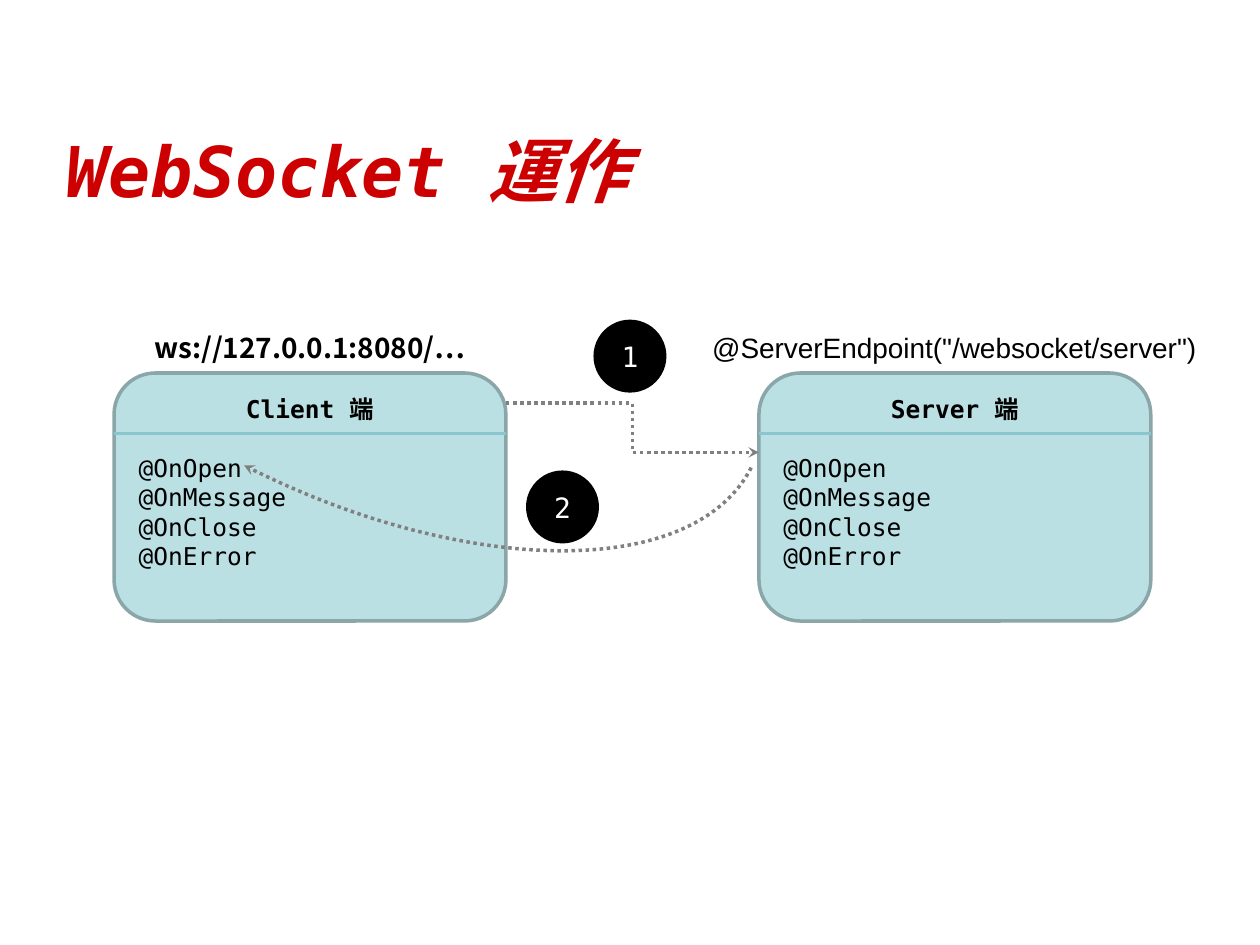
import pptx
import pptx.util
import pptx.dml.color
import pptx.enum.dml
import pptx.enum.shapes
import pptx.enum.text
import pptx.oxml.ns
import lxml.etree

Cm = pptx.util.Cm
Pt = pptx.util.Pt
Kind = pptx.enum.shapes.MSO_SHAPE
Wire = pptx.enum.shapes.MSO_CONNECTOR
Align = pptx.enum.text.PP_ALIGN
Anchor = pptx.enum.text.MSO_ANCHOR

THEME = {
    "mono": "DejaVu Sans Mono", "sans": "Arial", "cjk": "Noto Sans CJK TC",
    "red": "CC0000", "black": "000000", "white": "FFFFFF", "gray": "808080",
    "panel": "BBE0E3", "edge": "8AA6A8", "rule": "8AC6CD",
    "title": 40, "label": 16, "body": 14, "line": 2,
}

TITLE = "WebSocket 運作"
EVENTS = ["@OnOpen", "@OnMessage", "@OnClose", "@OnError"]
PANELS = [
    {"head": "Server 端", "left": 15.3, "label": '@ServerEndpoint("/websocket/server")',
     "font": "sans", "bold": False, "mid": 19.24},
    {"head": "Client 端", "left": 2.3, "label": "ws://127.0.0.1:8080/…",
     "font": "cjk", "bold": True, "mid": 6.25},
]
STEPS = [("1", 12.0, 6.48), ("2", 10.64, 9.52)]

TOP, WIDE, HIGH = 7.52, 7.9, 5.0
RULE = TOP + 1.22
LABEL_TOP, LABEL_WIDE, LABEL_HIGH = 6.53, 10.6, 0.94
DOT = 1.4
ROW = 16.8


def color(name):
    return pptx.dml.color.RGBColor.from_string(THEME[name])


def add_run(para, text, font, size, tint, bold=False, slant=False):
    run = para.add_run()
    run.text = text
    face = run.font
    face.name, face.size = THEME[font], Pt(THEME[size])
    face.bold, face.italic = bold, slant
    face.color.rgb = color(tint)
    east = lxml.etree.SubElement(run._r.get_or_add_rPr(), pptx.oxml.ns.qn("a:ea"))
    east.set("typeface", THEME["cjk"])


def set_line(item, tint, dots=False, arrow=False):
    item.line.color.rgb = color(tint)
    item.line.width = Pt(THEME["line"])
    if dots:
        item.line.dash_style = pptx.enum.dml.MSO_LINE.ROUND_DOT
    if arrow:
        tip = lxml.etree.SubElement(item.line._get_or_add_ln(), pptx.oxml.ns.qn("a:tailEnd"))
        tip.set("type", "stealth")


def add_shape(slide, kind, box, fill, edge, **style):
    shape = slide.shapes.add_shape(kind, *map(Cm, box))
    shape.shadow.inherit = False
    if fill:
        shape.fill.solid()
        shape.fill.fore_color.rgb = color(fill)
    else:
        shape.fill.background()
    set_line(shape, edge, **style)
    return shape


def add_wire(slide, kind, ends, tint, **style):
    wire = slide.shapes.add_connector(kind, *map(Cm, ends))
    set_line(wire, tint, **style)
    lxml.etree.SubElement(wire._element.spPr, pptx.oxml.ns.qn("a:effectLst"))


def add_title(slide):
    title = slide.shapes.title
    title.left, title.top, title.width, title.height = map(Cm, (1.09, 2.31, 22.86, 2.21))
    title.text_frame.vertical_anchor = Anchor.MIDDLE
    para = title.text_frame.paragraphs[0]
    para.alignment = Align.LEFT
    add_run(para, TITLE, "mono", "title", "red", True, True)


def add_panel(slide, panel):
    left = panel["left"]
    shape = add_shape(slide, Kind.ROUNDED_RECTANGLE, (left, TOP, WIDE, HIGH), "panel", "edge")
    frame = shape.text_frame
    frame.vertical_anchor = Anchor.MIDDLE
    frame.margin_bottom = Cm(0.72)
    head = frame.paragraphs[0]
    head.alignment = Align.CENTER
    head.space_after = Pt(ROW)
    add_run(head, panel["head"], "mono", "body", "black", True)
    for event in EVENTS:
        para = frame.add_paragraph()
        para.alignment = Align.LEFT
        add_run(para, event, "mono", "body", "black")

    box = (panel["mid"] - LABEL_WIDE / 2, LABEL_TOP, LABEL_WIDE, LABEL_HIGH)
    label = slide.shapes.add_textbox(*map(Cm, box)).text_frame
    label.word_wrap = True
    para = label.paragraphs[0]
    para.alignment = Align.CENTER
    add_run(para, panel["label"], panel["font"], "label", "black", panel["bold"])
    add_wire(slide, Wire.STRAIGHT, (left, RULE, left + WIDE, RULE), "rule")


def add_step(slide, mark, left, top):
    shape = add_shape(slide, Kind.OVAL, (left, top, DOT, DOT), "black", "black")
    shape.text_frame.vertical_anchor = Anchor.MIDDLE
    para = shape.text_frame.paragraphs[0]
    para.alignment = Align.CENTER
    add_run(para, mark, "mono", "label", "white")


def main():
    deck = pptx.Presentation()
    deck.slide_width, deck.slide_height = Cm(25.4), Cm(19.05)
    slide = deck.slides.add_slide(deck.slide_layouts[5])
    add_title(slide)
    for panel in PANELS:
        add_panel(slide, panel)
    server, client = PANELS
    ends = (client["left"] + WIDE, 8.13, server["left"], 9.12)
    add_wire(slide, Wire.ELBOW, ends, "gray", dots=True, arrow=True)
    arc = add_shape(slide, Kind.ARC, (2.41, -3.84, 9.14, 18.29), None, "gray",
                    dots=True, arrow=True)
    arc.rotation = 116.8
    for step in STEPS:
        add_step(slide, *step)
    deck.save("out.pptx")


if __name__ == "__main__":
    main()
